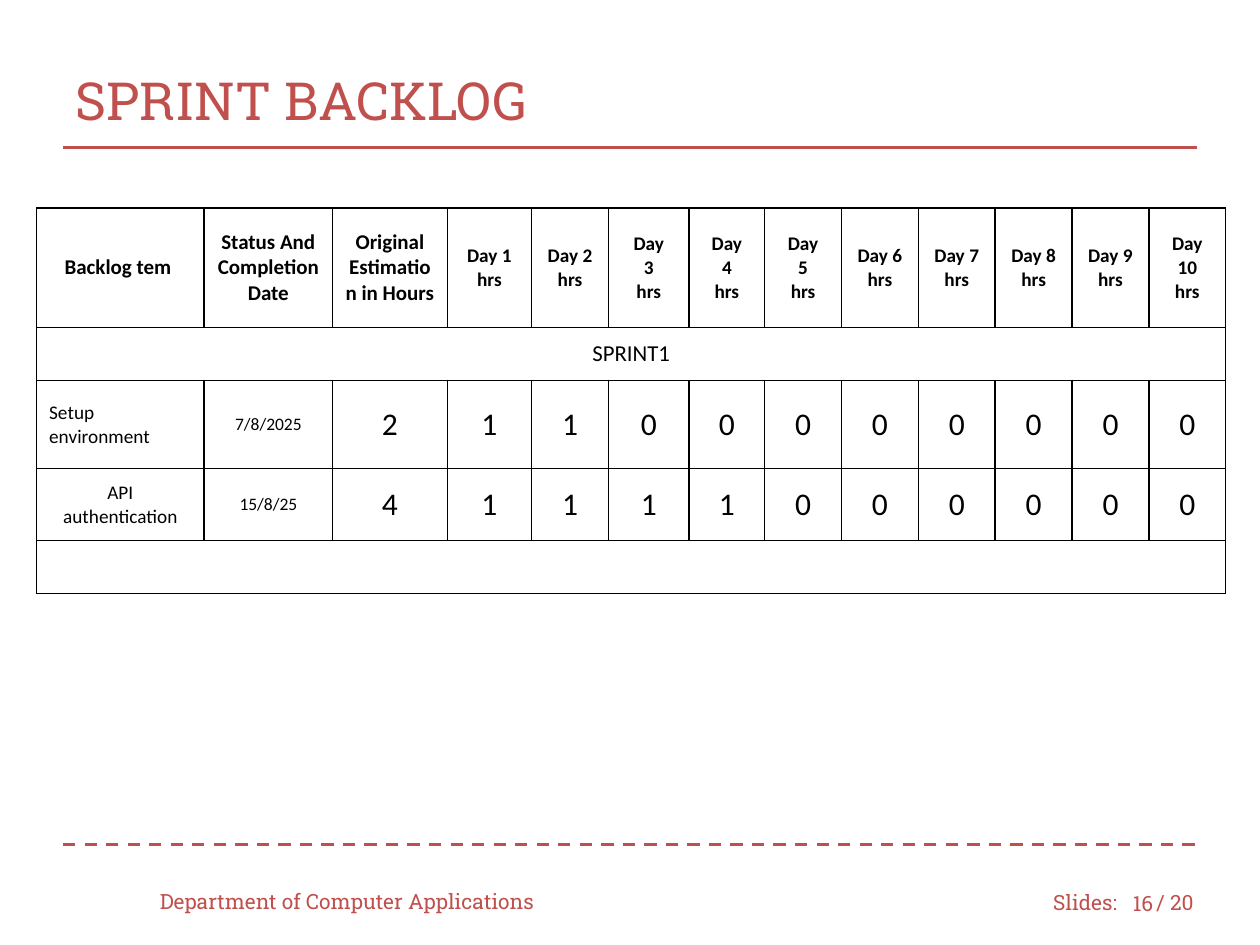
from lxml import etree
from pptx import Presentation
from pptx import util as u
from pptx.dml.color import RGBColor
from pptx.enum import dml, shapes, text
from pptx.oxml import ns

ACCENT, BLACK, WHITE = "C0504D", "000000", "FFFFFF"
LEFT, CENTER, RIGHT = text.PP_ALIGN.LEFT, text.PP_ALIGN.CENTER, text.PP_ALIGN.RIGHT


def color(hex_value):
    return RGBColor.from_string(hex_value)


def write(frame, content, size=12, font="Roboto Slab", fill=ACCENT, bold=False, align=LEFT):
    """Write one paragraph per line of content."""
    frame.word_wrap = True
    for i, line in enumerate(content.split("\n")):
        paragraph = frame.add_paragraph() if i else frame.paragraphs[0]
        paragraph.alignment = align
        run = paragraph.add_run()
        run.text = line
        run.font.size, run.font.name, run.font.bold = u.Pt(size), font, bold
        run.font.color.rgb = color(fill)


def add_borders(cell, width=1):
    properties = cell._tc.get_or_add_tcPr()
    for side in ("a:lnL", "a:lnR", "a:lnT", "a:lnB"):
        line = etree.SubElement(properties, ns.qn(side), w=str(u.Pt(width)))
        fill = etree.SubElement(line, ns.qn("a:solidFill"))
        etree.SubElement(fill, ns.qn("a:srgbClr"), val=BLACK)


class SlideBuilder:
    def __init__(self, slide, table_font="Calibri"):
        self.slide = slide
        self.table_font = table_font

    def label(self, content, left, top, width, height=0.4, **style):
        box = self.slide.shapes.add_textbox(*map(u.Inches, (left, top, width, height)))
        write(box.text_frame, content, **style)
        box.text_frame.vertical_anchor = text.MSO_ANCHOR.MIDDLE

    def rule(self, y, left=0.5, right=9.5, width=1.75, dash=None):
        line = self.slide.shapes.add_connector(
            shapes.MSO_CONNECTOR.STRAIGHT, *map(u.Inches, (left, y, right, y)))
        line.line.color.rgb = color(ACCENT)
        line.line.width = u.Pt(width)
        if dash:
            line.line.dash_style = dash
        etree.SubElement(line._element.spPr, ns.qn("a:effectLst"))

    def table(self, left, top, columns, rows):
        frame = self.slide.shapes.add_table(
            len(rows), len(columns),
            *map(u.Inches, (left, top, sum(columns), sum(rows))))
        grid = frame.table
        grid.first_row = grid.horz_banding = False
        for column, width in zip(grid.columns, columns):
            column.width = u.Inches(width)
        for row, height in zip(grid.rows, rows):
            row.height = u.Inches(height)
        for cell in grid.iter_cells():
            add_borders(cell)
            cell.fill.solid()
            cell.fill.fore_color.rgb = color(WHITE)
        return grid

    def cell(self, cell, content, size, bold=False, align=CENTER, inset=0.1):
        cell.vertical_anchor = text.MSO_ANCHOR.MIDDLE
        cell.margin_left = cell.margin_right = u.Inches(0.1)
        cell.margin_top = cell.margin_bottom = u.Inches(inset)
        write(cell.text_frame, content, size=size, bold=bold, align=align,
              font=self.table_font, fill=BLACK)


def main():
    deck = Presentation()
    deck.slide_width, deck.slide_height = u.Inches(10), u.Inches(7.5)
    page = SlideBuilder(deck.slides.add_slide(deck.slide_layouts[6]))

    # Title and rules
    page.rule(6.7, dash=dml.MSO_LINE.DASH)
    page.rule(1.17)
    page.label("SPRINT BACKLOG", 0.5, 0.33, 9, 0.92, size=30)

    # Footer
    page.label("Department of Computer Applications", 1.17, 6.95, 3.33)
    page.label("Slides:", 8.26, 6.96, 0.75)
    page.label("16", 8.83, 6.97, 0.42, align=RIGHT)
    page.label("/ 20", 9.08, 6.96, 0.58)

    # Backlog table
    columns = [1.33, 1.02, 0.91, 0.67, 0.61, 0.64, 0.6] + [0.61] * 6
    backlog = page.table(0.29, 1.65, columns, [0.95, 0.42, 0.7, 0.57, 0.42])

    # Column headings; days 3 to 5 have the number on its own line
    headings = ["Backlog tem ", "Status And Completion Date", "Original Estimation in Hours "]
    for i, heading in enumerate(headings):
        page.cell(backlog.cell(0, i), heading, 12, bold=True)
    for day in range(1, 11):
        gap = "\n" if day in (3, 4, 5) else " "
        page.cell(backlog.cell(0, day + 2), f"Day{gap}{day}\nhrs", 11, bold=True)

    # Full-width rows: sprint name and empty closing row
    for row in (1, 4):
        backlog.cell(row, 0).merge(backlog.cell(row, len(columns) - 1))
    page.cell(backlog.cell(1, 0), "SPRINT1", 13, inset=0.08)

    # Items: name, alignment, inset, date, estimate, hours on the days worked
    items = [
        ("Setup environment", LEFT, 0.05, "7/8/2025", 2, [1, 1]),
        ("API authentication", CENTER, 0.1, "15/8/25", 4, [1, 1, 1, 1]),
    ]
    for row, (name, align, inset, date, estimate, worked) in enumerate(items, 2):
        page.cell(backlog.cell(row, 0), name, 11, align=align, inset=inset)
        page.cell(backlog.cell(row, 1), date, 10)
        hours = worked + [0] * (10 - len(worked))
        for column, value in enumerate([estimate] + hours, 2):
            page.cell(backlog.cell(row, column), str(value), 18)

    deck.save("out.pptx")


if __name__ == "__main__":
    main()
